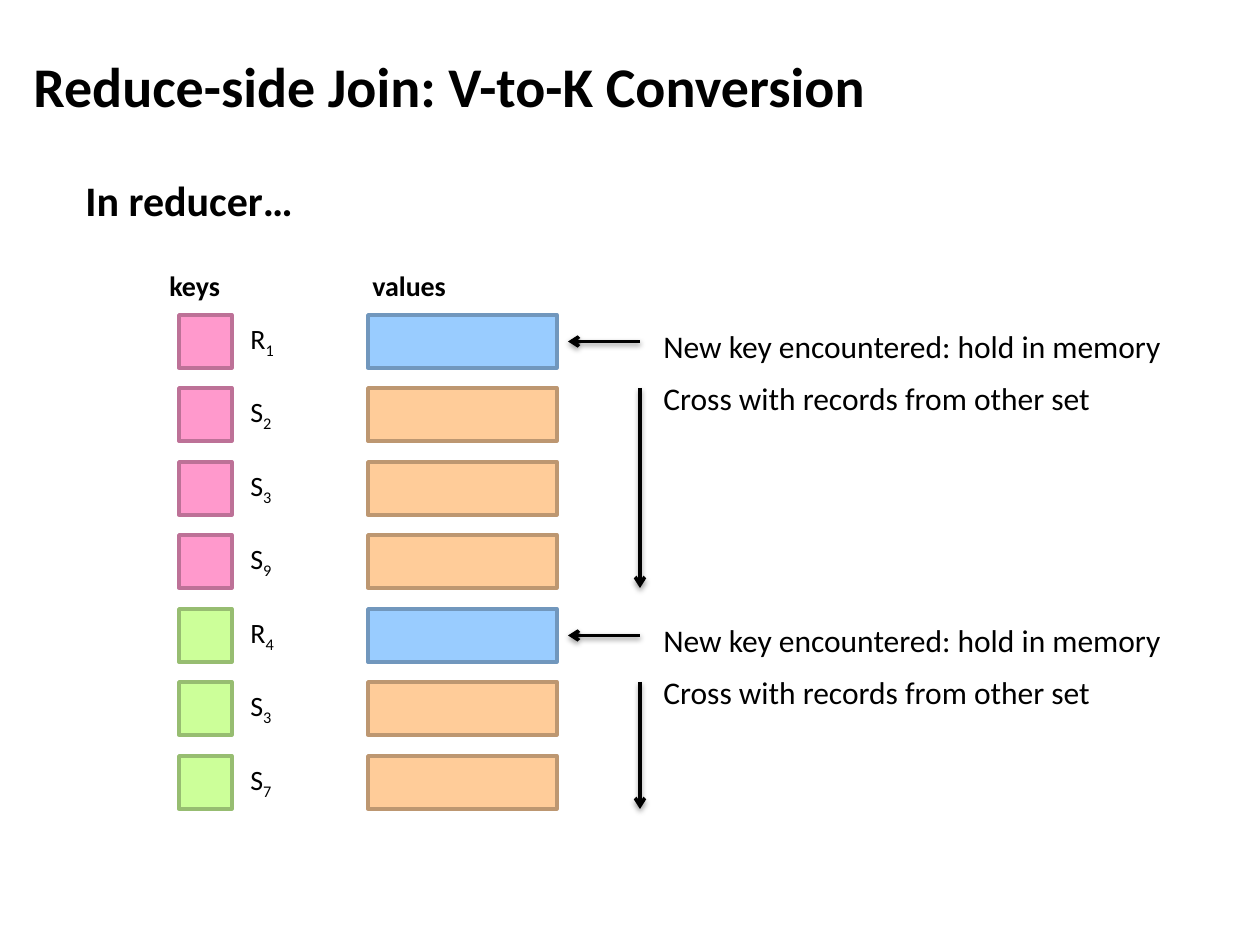
from lxml import etree
from pptx import Presentation
from pptx.dml.color import RGBColor
from pptx.enum.shapes import MSO_CONNECTOR, MSO_SHAPE
from pptx.enum.text import MSO_ANCHOR
from pptx.oxml.ns import qn
from pptx.util import Pt

RECTANGLE = MSO_SHAPE.RECTANGLE
STRAIGHT = MSO_CONNECTOR.STRAIGHT
MIDDLE, TOP = MSO_ANCHOR.MIDDLE, MSO_ANCHOR.TOP

# Content
TITLE = "Reduce-side Join: V-to-K Conversion"
SUBTITLE = "In reducer…"
HEADERS = [("keys", 157, 91), ("values", 360, 115)]  # text, left, width
GROUPS = [  # key fill, key line, records (relation, index)
    ("FF99CC", "BD7197", [("R", "1"), ("S", "2"), ("S", "3"), ("S", "9")]),
    ("CCFF99", "97BD71", [("R", "4"), ("S", "3"), ("S", "7")]),
]
VALUE_COLORS = {"R": ("99CCFF", "7197BD"), "S": ("FFCC99", "BD9771")}
LABEL_WIDTHS = {"R": 52, "S": 48}
HOLD_NOTE = "New key encountered: hold in memory"
CROSS_NOTE = "Cross with records from other set"

# Layout in px, 126 to the inch
SCALE = 914400 / 126
FONT = "Calibri"
BLACK = "000000"
FIRST_ROW, BOX = 315, 53
KEY_LEFT, LABEL_LEFT, VALUE_LEFT, VALUE_WIDTH = 179, 238, 368, 189
ARROW_X, ARROW_TIP, NOTE_LEFT = 640, 568, 651


def px(value):
    return round(value * SCALE)


def color(text):
    return RGBColor.from_string(text)


def row_top(row):
    return FIRST_ROW + row * 147 // 2


def add_text(left, top, width, height, runs, size, bold=False, wrap=False, anchor=TOP):
    """Each run is (text, is_subscript)."""
    box = slide.shapes.add_textbox(px(left), px(top), px(width), px(height))
    frame = box.text_frame
    frame.word_wrap = wrap
    frame.vertical_anchor = anchor
    for text, subscript in runs:
        run = frame.paragraphs[0].add_run()
        run.text = text
        run.font.name = FONT
        run.font.size = Pt(size)
        run.font.bold = bold
        run.font.color.rgb = color(BLACK)
        if subscript:
            run.font._element.set("baseline", "-25000")


def add_box(left, top, width, fill, line):
    shape = slide.shapes.add_shape(RECTANGLE, px(left), px(top), px(width), px(BOX))
    shape.shadow.inherit = False
    shape.fill.solid()
    shape.fill.fore_color.rgb = color(fill)
    shape.line.color.rgb = color(line)
    shape.line.width = Pt(2)


def add_arrow(x1, y1, x2, y2):
    arrow = slide.shapes.add_connector(STRAIGHT, px(x1), px(y1), px(x2), px(y2))
    arrow.line.color.rgb = color(BLACK)
    arrow.line.width = Pt(2)
    etree.SubElement(arrow.line._get_or_add_ln(), qn("a:tailEnd"), type="arrow")
    # Soft shadow straight below the line
    effects = etree.SubElement(arrow._element.spPr, qn("a:effectLst"))
    shadow = etree.SubElement(effects, qn("a:outerShdw"), blurRad=str(Pt(3.1)),
                              dist=str(Pt(1.6)), dir="5400000", rotWithShape="0")
    shade = etree.SubElement(shadow, qn("a:srgbClr"), val=BLACK)
    etree.SubElement(shade, qn("a:alpha"), val="38000")


presentation = Presentation()
presentation.slide_width, presentation.slide_height = px(1260), px(945)
slide = presentation.slides.add_slide(presentation.slide_layouts[6])

# Headings
add_text(21, 15, 1197, 141, [(TITLE, False)], 32, bold=True, wrap=True, anchor=MIDDLE)
add_text(73, 168, 291, 63, [(SUBTITLE, False)], 24, bold=True)
for header, left, width in HEADERS:
    add_text(left, 262, width, 47, [(header, False)], 16, bold=True)

row = 0
for key_fill, key_line, records in GROUPS:
    # Key, label and value of each record
    first = row
    for relation, index in records:
        top = row_top(row)
        add_box(KEY_LEFT, top, BOX, key_fill, key_line)
        add_text(LABEL_LEFT, top, LABEL_WIDTHS[relation], 47,
                 [(relation, False), (index, True)], 16)
        add_box(VALUE_LEFT, top, VALUE_WIDTH, *VALUE_COLORS[relation])
        row += 1

    # Notes and arrows of the group
    top = row_top(first)
    middle = top + BOX / 2
    add_arrow(ARROW_X, middle, ARROW_TIP, middle)
    add_text(NOTE_LEFT, top + 6, 532, 50, [(HOLD_NOTE, False)], 18)
    add_arrow(ARROW_X, row_top(first + 1), ARROW_X, row_top(row - 1) + BOX)
    add_text(NOTE_LEFT, top + 58, 474, 50, [(CROSS_NOTE, False)], 18)

presentation.save("out.pptx")
